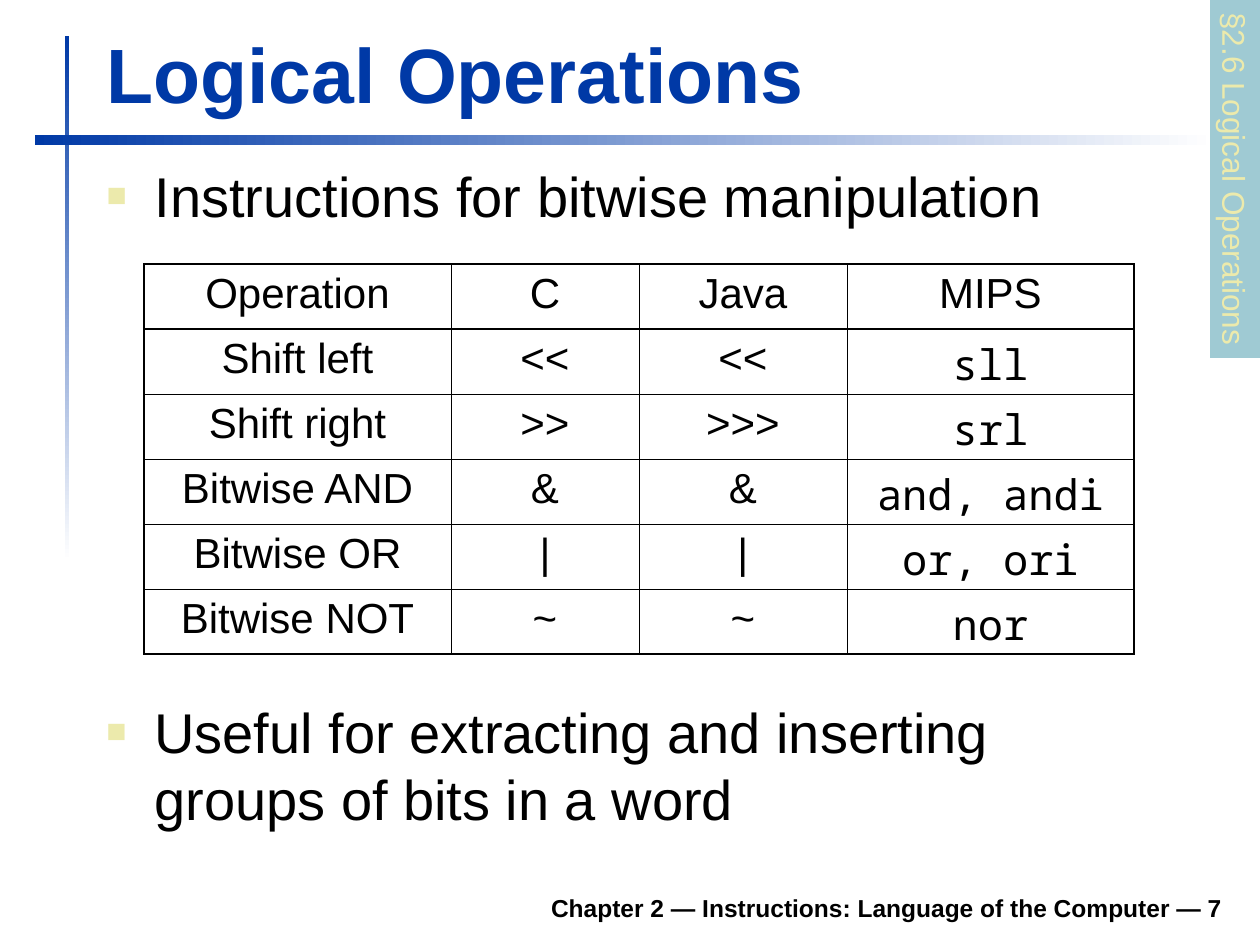
import pptx
import pptx.util
import pptx.oxml
import pptx.oxml.ns
from pptx.dml.color import RGBColor
from pptx.enum.shapes import MSO_SHAPE
from pptx.enum.text import MSO_ANCHOR, MSO_AUTO_SIZE, PP_ALIGN

# Content
TITLE = "Logical Operations"
INTRO = "Instructions for bitwise manipulation"
SUMMARY = "Useful for extracting and inserting groups of bits in a word"
SECTION = "§2.6 Logical Operations"
FOOTER = "Chapter 2 — Instructions: Language of the Computer — 7"
OPERATIONS = [
    ("Operation", "C", "Java", "MIPS"),
    ("Shift left", "<<", "<<", "sll"),
    ("Shift right", ">>", ">>>", "srl"),
    ("Bitwise AND", "&", "&", "and, andi"),
    ("Bitwise OR", "|", "|", "or, ori"),
    ("Bitwise NOT", "~", "~", "nor"),
]
COLUMN_WIDTHS = (307, 188, 208, 287)
ROW_HEIGHT = 65


class Theme:
    blue, white, black = "0039A6", "FFFFFF", "000000"
    teal, sand = "9FCAD3", "ECEAAC"
    font, code_font = "Arial", "Noto Sans Mono"
    title, body, table, label, footer = 44, 32, 24, 18, 14
    outer_line, header_line, inner_line = 1.08, 0.75, 0.45


PX = 914400 / 126  # EMU in one px


def px(length):
    return round(length * PX)


def place(shape, left, top, width, height):
    shape.left, shape.top = px(left), px(top)
    shape.width, shape.height = px(width), px(height)


def write(frame, text, size, color, bold=False, font=Theme.font,
          align=PP_ALIGN.LEFT, anchor=MSO_ANCHOR.TOP):
    frame.text = text
    frame.word_wrap = True
    frame.vertical_anchor = anchor
    para = frame.paragraphs[0]
    para.alignment = align
    span = para.runs[0].font
    span.name, span.size, span.bold = font, pptx.util.Pt(size), bold
    span.color.rgb = RGBColor.from_string(color)
    return para


def write_bullet(frame, text):
    frame.auto_size = MSO_AUTO_SIZE.NONE
    para = write(frame, text, Theme.body, Theme.black)
    para.space_before = pptx.util.Pt(8)
    properties = para._p.get_or_add_pPr()
    properties.set("marL", str(px(48)))
    properties.set("indent", str(px(-48)))
    namespace = pptx.oxml.ns.nsdecls("a")
    for markup in (
        f'<a:buClr {namespace}><a:srgbClr val="{Theme.sand}"/></a:buClr>',
        f'<a:buSzPct {namespace} val="60000"/>',
        f'<a:buFont {namespace} typeface="{Theme.font}"/>',
        f'<a:buChar {namespace} char="■"/>',
    ):
        properties.append(pptx.oxml.parse_xml(markup))


def add_bar(page, left, top, width, height):
    bar = page.shapes.add_shape(MSO_SHAPE.RECTANGLE, 0, 0, 0, 0)
    place(bar, left, top, width, height)
    bar.shadow.inherit = False
    bar.line.fill.background()
    return bar


def add_rule(page, area, angle):
    fill = add_bar(page, *area).fill
    fill.gradient()
    fill.gradient_angle = angle
    for stop, color in zip(fill.gradient_stops, (Theme.blue, Theme.white)):
        stop.color.rgb = RGBColor.from_string(color)


def set_borders(cell, widths):
    properties = cell._tc.get_or_add_tcPr()
    for position, (side, width) in enumerate(widths.items()):
        properties.insert(position, pptx.oxml.parse_xml(
            f'<a:ln{side} {pptx.oxml.ns.nsdecls("a")} w="{pptx.util.Pt(width)}">'
            f'<a:solidFill><a:srgbClr val="{Theme.black}"/></a:solidFill></a:ln{side}>'))


def add_operations(page, left, top):
    rows, columns = len(OPERATIONS), len(COLUMN_WIDTHS)
    table = page.shapes.add_table(
        rows, columns, px(left), px(top),
        px(sum(COLUMN_WIDTHS)), px(ROW_HEIGHT * rows)).table
    table.first_row = table.horz_banding = False
    for column, width in zip(table.columns, COLUMN_WIDTHS):
        column.width = px(width)
    # Line weights from the first edge to the last
    across = [Theme.outer_line] + [Theme.inner_line] * (columns - 1) + [Theme.outer_line]
    down = ([Theme.outer_line, Theme.header_line]
            + [Theme.inner_line] * (rows - 2) + [Theme.outer_line])
    for r, values in enumerate(OPERATIONS):
        for c, value in enumerate(values):
            cell = table.cell(r, c)
            is_code = r > 0 and c == columns - 1
            para = write(cell.text_frame, value, Theme.table, Theme.black,
                         font=Theme.code_font if is_code else Theme.font,
                         align=PP_ALIGN.CENTER)
            para.space_before = pptx.util.Pt(6)
            cell.fill.background()
            set_borders(cell, {"L": across[c], "R": across[c + 1],
                               "T": down[r], "B": down[r + 1]})


def main():
    deck = pptx.Presentation()
    deck.slide_width, deck.slide_height = px(1260), px(945)
    page = deck.slides.add_slide(deck.slide_layouts[1])

    # Crossing rules
    add_rule(page, (65, 36, 4, 525), 270)
    add_rule(page, (35, 135, 1180, 10), 0)

    # Footer
    footer = page.shapes.add_textbox(0, 0, 0, 0)
    place(footer, 233, 880, 1002, 49)
    write(footer.text_frame, FOOTER, Theme.footer, Theme.black, bold=True,
          align=PP_ALIGN.RIGHT, anchor=MSO_ANCHOR.BOTTOM)

    # Title and bullets
    title, intro = page.shapes.title, page.placeholders[1]
    place(title, 94, 20, 1138, 105)
    title.text_frame.auto_size = MSO_AUTO_SIZE.NONE
    write(title.text_frame, TITLE, Theme.title, Theme.blue, bold=True,
          anchor=MSO_ANCHOR.BOTTOM)
    place(intro, 94, 155, 1139, 96)
    write_bullet(intro.text_frame, INTRO)
    summary = page.shapes.add_textbox(0, 0, 0, 0)
    place(summary, 94, 691, 1071, 149)
    write_bullet(summary.text_frame, SUMMARY)

    add_operations(page, 144, 264)

    # Section label down the right edge
    label = add_bar(page, 1056, 154, 358, 50)
    label.rotation = 90
    label.fill.solid()
    label.fill.fore_color.rgb = RGBColor.from_string(Theme.teal)
    write(label.text_frame, SECTION, Theme.label, Theme.sand)
    label.text_frame.word_wrap = False

    deck.save("out.pptx")


if __name__ == "__main__":
    main()
